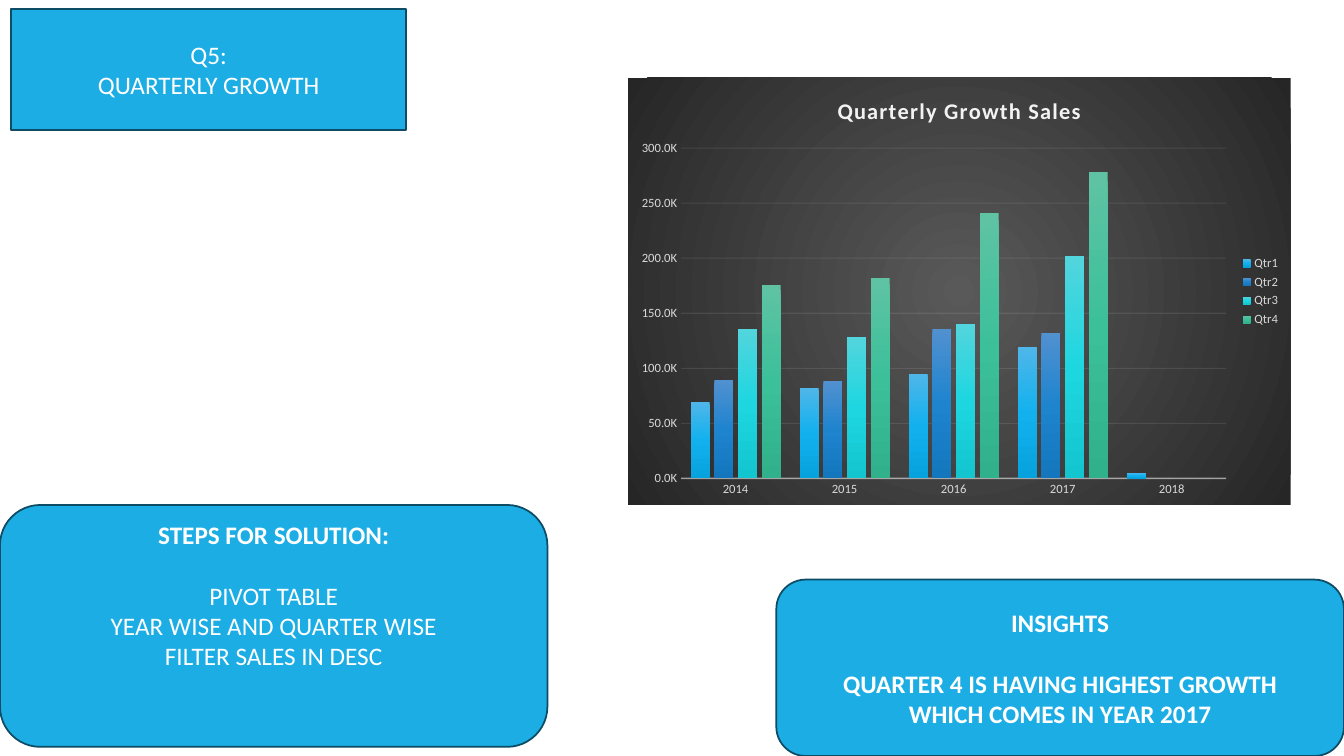
from lxml import etree
from pptx import Presentation
from pptx.chart.data import CategoryChartData
from pptx.dml.color import RGBColor
from pptx.enum.chart import XL_CHART_TYPE, XL_LEGEND_POSITION, XL_TICK_MARK
from pptx.enum.shapes import MSO_SHAPE
from pptx.enum.text import MSO_ANCHOR, PP_ALIGN
from pptx.oxml import parse_xml
from pptx.oxml.ns import nsdecls, qn
from pptx.util import Inches, Pt

BLUE = RGBColor(0x1C, 0xAD, 0xE4)
NAVY = RGBColor(0x0C, 0x4C, 0x64)
WHITE = RGBColor(0xFF, 0xFF, 0xFF)
PALE = RGBColor(0xF2, 0xF2, 0xF2)
LABEL = RGBColor(0xD9, 0xD9, 0xD9)
FONT = "Calibri"


def gradient_sppr(colors, direction):
    step = 100000 // (len(colors) - 1)
    stops = "".join(f'<a:gs pos="{i * step}"><a:srgbClr val="{c}"/></a:gs>'
                    for i, c in enumerate(colors))
    return parse_xml(f'<c:spPr {nsdecls("c", "a")}><a:gradFill><a:gsLst>{stops}</a:gsLst>'
                     f'{direction}</a:gradFill><a:ln><a:noFill/></a:ln></c:spPr>')


def style_line(line, width, opacity):
    line.width = Pt(width)
    line.fill.solid()
    line.color.rgb = PALE
    color = line._get_or_add_ln().find(".//" + qn("a:srgbClr"))
    etree.SubElement(color, qn("a:alpha")).set("val", str(opacity * 1000))


prs = Presentation()
prs.slide_width, prs.slide_height = Inches(13.33), Inches(7.5)
s = prs.slides.add_slide(prs.slide_layouts[6])

# Blue boxes: shape, position, bottom inset, lines as (text, bold, space before)
boxes = [
    (MSO_SHAPE.ROUNDED_RECTANGLE, (0, 5.01, 5.43, 2.4), 0.66,
     [("STEPS FOR SOLUTION:", True, 0), ("PIVOT TABLE", False, 22),
      ("YEAR WISE AND QUARTER WISE", False, 0), ("FILTER SALES IN DESC", False, 0)]),
    (MSO_SHAPE.ROUNDED_RECTANGLE, (7.7, 5.75, 5.63, 1.75), 0.05,
     [("INSIGHTS", True, 0), ("QUARTER 4 IS HAVING HIGHEST GROWTH", True, 22),
      ("WHICH COMES IN YEAR 2017", True, 0)]),
    (MSO_SHAPE.RECTANGLE, (0.11, 0.09, 3.92, 1.2), 0.05,
     [("Q5:", False, 0), ("QUARTERLY GROWTH", False, 0)]),
]
for kind, place, inset, lines in boxes:
    sp = s.shapes.add_shape(kind, *map(Inches, place))
    sp.shadow.inherit = False
    sp.fill.solid()
    sp.fill.fore_color.rgb = BLUE
    sp.line.color.rgb = NAVY
    sp.line.width = Pt(1.25)
    tf = sp.text_frame
    tf.word_wrap = True
    tf.vertical_anchor = MSO_ANCHOR.MIDDLE
    tf.margin_bottom = Inches(inset)
    for i, (text, bold, before) in enumerate(lines):
        p = tf.add_paragraph() if i else tf.paragraphs[0]
        p.alignment = PP_ALIGN.CENTER
        if before:
            p.space_before = Pt(before)
        r = p.add_run()
        r.text = text
        r.font.name, r.font.size, r.font.bold = FONT, Pt(18), bold
        r.font.color.rgb = WHITE

# Quarterly sales chart
quarters = [
    ("Qtr1", (69000, 82000, 95000, 119000, 5000), ("4FB6E9", "12B1EE", "06A2DD")),
    ("Qtr2", (89000, 88000, 136000, 132000, None), ("5191D0", "1E84CE", "1477BE")),
    ("Qtr3", (136000, 128000, 140000, 202000, None), ("52D5DD", "1ED6E0", "13C5CF")),
    ("Qtr4", (176000, 182000, 241000, 278000, None), ("5FC3A3", "3CC09A", "30B08B")),
]
data = CategoryChartData()
data.categories = [str(year) for year in range(2014, 2019)]
for name, values, _ in quarters:
    data.add_series(name, values)
chart = s.shapes.add_chart(XL_CHART_TYPE.COLUMN_CLUSTERED, Inches(6.23), Inches(0.77),
                           Inches(6.57), Inches(4.24), data).chart
chart.font.name, chart.font.size = FONT, Pt(10)

# Dark radial background
radial = ('<a:path path="circle"><a:fillToRect l="50000" t="50000" r="50000" b="50000"/>'
          '</a:path>')
chart._chartSpace.find(qn("c:chart")).addnext(gradient_sppr(("595959", "262626"), radial))

# Title
chart.has_title = True
chart.chart_title.include_in_layout = False
r = chart.chart_title.text_frame.paragraphs[0].add_run()
r.text = "Quarterly Growth Sales"
r.font.name, r.font.size, r.font.bold = FONT, Pt(16), True
r.font.color.rgb = PALE
r.font._element.set("spc", "100")

# Columns
plot = chart.plots[0]
plot.gap_width, plot.overlap = 100, -24
plot.vary_by_categories = False
for series, (_, _, colors) in zip(plot.series, quarters):
    series.format.fill.solid()
    old = series._element.find(qn("c:spPr"))
    old.getparent().replace(old, gradient_sppr(colors, '<a:lin ang="5400000" scaled="0"/>'))

# Axes and legend
value_axis, category_axis = chart.value_axis, chart.category_axis
value_axis.minimum_scale, value_axis.maximum_scale = 0, 300000
value_axis.major_unit = 50000
value_axis.tick_labels.number_format = "0.0,\\K"
value_axis.tick_labels.number_format_is_linked = False
value_axis.format.line.fill.background()
style_line(value_axis.major_gridlines.format.line, 0.75, 10)
style_line(category_axis.format.line, 1, 54)
chart.has_legend = True
chart.legend.position = XL_LEGEND_POSITION.RIGHT
chart.legend.include_in_layout = False
for axis in (value_axis, category_axis):
    axis.major_tick_mark = axis.minor_tick_mark = XL_TICK_MARK.NONE
for font in (value_axis.tick_labels.font, category_axis.tick_labels.font, chart.legend.font):
    font.name, font.size = FONT, Pt(9)
    font.color.rgb = LABEL

# Plot area position, as fractions of the chart
plot_area = chart._chartSpace.find(".//" + qn("c:plotArea"))
for old in plot_area.findall(qn("c:layout")):
    plot_area.remove(old)
layout = parse_xml(f'<c:layout {nsdecls("c")}><c:manualLayout/></c:layout>')
settings = [("layoutTarget", "inner"), ("xMode", "edge"), ("yMode", "edge"),
            ("x", "0.08"), ("y", "0.165"), ("w", "0.823"), ("h", "0.773")]
for tag, value in settings:
    etree.SubElement(layout[0], qn("c:" + tag)).set("val", value)
plot_area.insert(0, layout)

prs.save("out.pptx")
